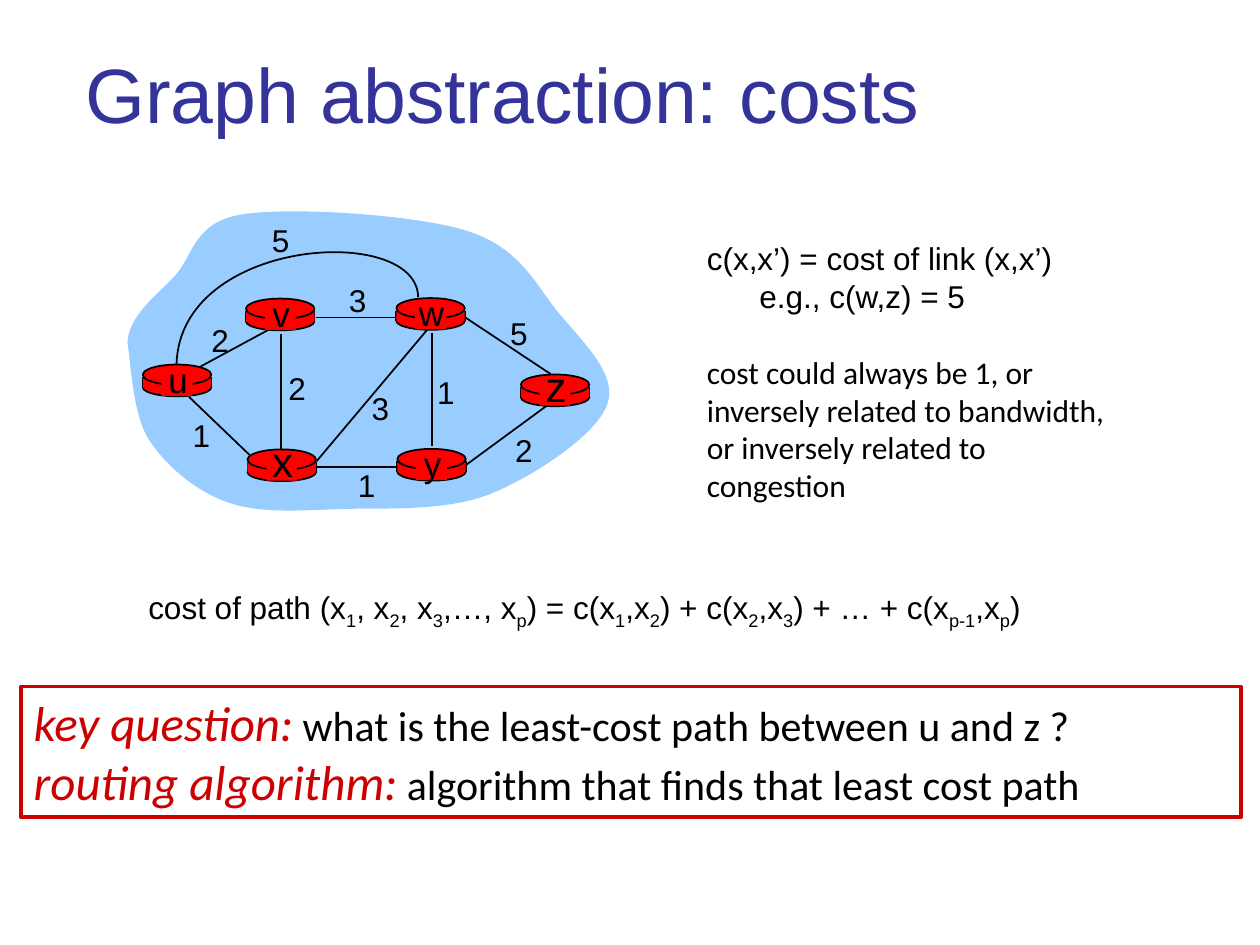
"""Build the slide on link and path costs in a graph of routers."""
from lxml import etree
from pptx import Presentation
from pptx import util as u
from pptx.dml.color import RGBColor
from pptx.enum import shapes, text
from pptx.oxml.ns import qn

BLACK, RED, CRIMSON = "000000", "FF0000", "CC0000"


def paint(sp, fill=None, line=None, width=1):
    sp.shadow.inherit = False
    if fill:
        sp.fill.solid()
        sp.fill.fore_color.rgb = RGBColor.from_string(fill)
    else:
        sp.fill.background()
    if line:
        sp.line.color.rgb = RGBColor.from_string(line)
        sp.line.width = u.Pt(width)
    else:
        sp.line.fill.background()


def write(p, content, size, font="Arial", color=BLACK, italic=False):
    r = p.add_run()
    r.text = content
    r.font.size = u.Pt(size)
    r.font.name = font
    r.font.italic = italic
    r.font.color.rgb = RGBColor.from_string(color)
    return r


prs = Presentation()
prs.slide_width, prs.slide_height = u.Cm(25.4), u.Cm(19.05)
s = prs.slides.add_slide(prs.slide_layouts[6])

tf = s.shapes.add_textbox(u.Cm(1.47), u.Cm(0.61), u.Cm(21.59), u.Cm(2.51)).text_frame
tf.word_wrap = True
tf.vertical_anchor = text.MSO_ANCHOR.MIDDLE
write(tf.paragraphs[0], "Graph abstraction: costs", 44, color="333399")

cloud = [
    (2.57, 6.91), (2.59, 6.38), (3.12, 5.99), (3.53, 5.56),
    (3.91, 5.13), (3.91, 4.47), (4.9, 4.32),
    (5.87, 4.17), (8.33, 4.32), (9.4, 4.65),
    (10.46, 4.98), (10.77, 5.69), (11.23, 6.27),
    (11.71, 6.86), (12.47, 7.54), (12.24, 8.15),
    (12.04, 8.76), (10.77, 9.6), (9.88, 9.96),
    (8.99, 10.31), (7.82, 10.24), (6.93, 10.26),
    (6.07, 10.29), (5.26, 10.36), (4.6, 10.13),
    (3.96, 9.91), (3.35, 9.4), (3, 8.86),
    (2.67, 8.33), (2.64, 7.32), (2.57, 6.91),
]
arc = [(8.43, 5.99), (8.41, 4.5), (3.63, 4.78), (3.56, 7.34)]
for points, closed, fill, line in ((cloud, True, "99CCFF", None), (arc, False, None, BLACK)):
    start, *rest = [(u.Cm(x), u.Cm(y)) for x, y in points]
    builder = s.shapes.build_freeform(*start)
    builder.add_line_segments(rest, close=closed)
    sp = builder.convert_to_shape()
    paint(sp, fill, line)
    segments = list(sp._element.iter(qn("a:lnTo")))
    for i in range(0, len(rest), 3):
        curve = etree.Element(qn("a:cubicBezTo"))
        segments[i].addprevious(curve)
        for segment in segments[i:i + 3]:
            curve.append(segment[0])
            segment.getparent().remove(segment)

routers = [
    ("u", 2.88, 7.35, 20), ("x", 4.99, 9.06, 24), ("v", 4.96, 6.02, 20),
    ("w", 7.99, 6.01, 20), ("y", 8.01, 9.05, 20), ("z", 10.5, 7.55, 24),
]
links = [
    (4.04, 7.39, 5.54, 6.58), (8.71, 6.71, 8.71, 8.99), (5.66, 6.73, 5.66, 9.09),
    (6.38, 9.3, 8.61, 6.65), (9.4, 9.37, 11.02, 8.18), (6.4, 9.42, 8.03, 9.42),
    (3.81, 8, 5.03, 9.17), (6.38, 6.4, 8, 6.4), (9.35, 6.38, 11.1, 7.54),
]
sides = [(x + dx, y + 0.25, x + dx, y + 0.47) for _, x, y, _ in routers for dx in (0, 1.38)]
for ends in links + sides:
    line = s.shapes.add_connector(shapes.MSO_CONNECTOR.STRAIGHT, *map(u.Cm, ends))
    line.line.color.rgb = RGBColor.from_string(BLACK)
    line.line.width = u.Pt(1)
    etree.SubElement(line._element.spPr, qn("a:effectLst"))

OVAL, RECT = shapes.MSO_SHAPE.OVAL, shapes.MSO_SHAPE.RECTANGLE
router_parts = [
    (OVAL, 0, 0.28, 1.38, 0.36, BLACK), (RECT, 0, 0.25, 1.38, 0.22, None),
    (OVAL, 0, 0, 1.38, 0.41, BLACK), (RECT, 0.38, 0.05, 0.62, 0.58, None),
]
for name, x, y, size in routers:
    for kind, dx, dy, w, h, outline in router_parts:
        sp = s.shapes.add_shape(kind, u.Cm(x + dx), u.Cm(y + dy), u.Cm(w), u.Cm(h))
        paint(sp, RED, outline)

costs = [
    ("2", 4.01, 6.35), ("2", 5.56, 7.32), ("1", 3.63, 8.26), ("3", 7.24, 7.72),
    ("1", 6.96, 9.27), ("1", 8.56, 7.39), ("2", 10.13, 8.56), ("5", 10.03, 6.2),
    ("3", 6.78, 5.54), ("5", 5.23, 4.34),
]
labels = [(name, x + 0.28, y - (0.25 if size == 20 else 0.4), size) for name, x, y, size in routers]
labels += [(cost, x, y, 18) for cost, x, y in costs]
for label, x, y, size in labels:
    tf = s.shapes.add_textbox(u.Cm(x), u.Cm(y), u.Cm(0.86), u.Cm(size * 0.05 + 0.11)).text_frame
    tf.word_wrap = True
    tf.margin_left = tf.margin_right = 0
    p = tf.paragraphs[0]
    p.alignment = text.PP_ALIGN.CENTER
    write(p, label, size)

notes = [
    ("c(x,x’) = cost of link (x,x’)", "Arial"),
    ("e.g., c(w,z) = 5", "Arial"),
    ("cost could always be 1, or", "Calibri"),
    ("inversely related to bandwidth,", "Calibri"),
    ("or inversely related to", "Calibri"),
    ("congestion", "Calibri"),
]
tf = s.shapes.add_textbox(u.Cm(14), u.Cm(4.7), u.Cm(9.75), u.Cm(5.59)).text_frame
tf.word_wrap = True
for i, (line, font) in enumerate(notes):
    p = tf.paragraphs[0] if i == 0 else tf.add_paragraph()
    p.line_spacing = u.Pt(21.6)
    write(p, line, 18, font)
tf.paragraphs[1]._p.get_or_add_pPr().set("marL", str(u.Cm(1.06)))
tf.paragraphs[2].space_before = u.Pt(21.6)

formula = "cost of path (x|1|, x|2|, x|3|,…, x|p|) = c(x|1|,x|2|) + c(x|2|,x|3|) + … + c(x|p-1|,x|p|)"
tf = s.shapes.add_textbox(u.Cm(2.74), u.Cm(11.73), u.Cm(18.44), u.Cm(1.12)).text_frame
tf.word_wrap = True
for i, part in enumerate(formula.split("|")):
    r = write(tf.paragraphs[0], part, 18)
    if i % 2:
        r._r.get_or_add_rPr().set("baseline", "-25000")

sp = s.shapes.add_shape(RECT, u.Cm(0.43), u.Cm(13.84), u.Cm(24.59), u.Cm(2.64))
paint(sp, None, CRIMSON, 2.25)
tf = sp.text_frame
tf.word_wrap = True
tf.vertical_anchor = text.MSO_ANCHOR.TOP
questions = [
    ("key question:", " what is the least-cost path between u and z ?"),
    ("routing algorithm:", " algorithm that finds that least cost path"),
]
for i, (term, meaning) in enumerate(questions):
    p = tf.paragraphs[0] if i == 0 else tf.add_paragraph()
    p.alignment = text.PP_ALIGN.LEFT
    write(p, term, 28, "Calibri", CRIMSON, True)
    write(p, meaning, 24, "Calibri")

prs.save("out.pptx")
